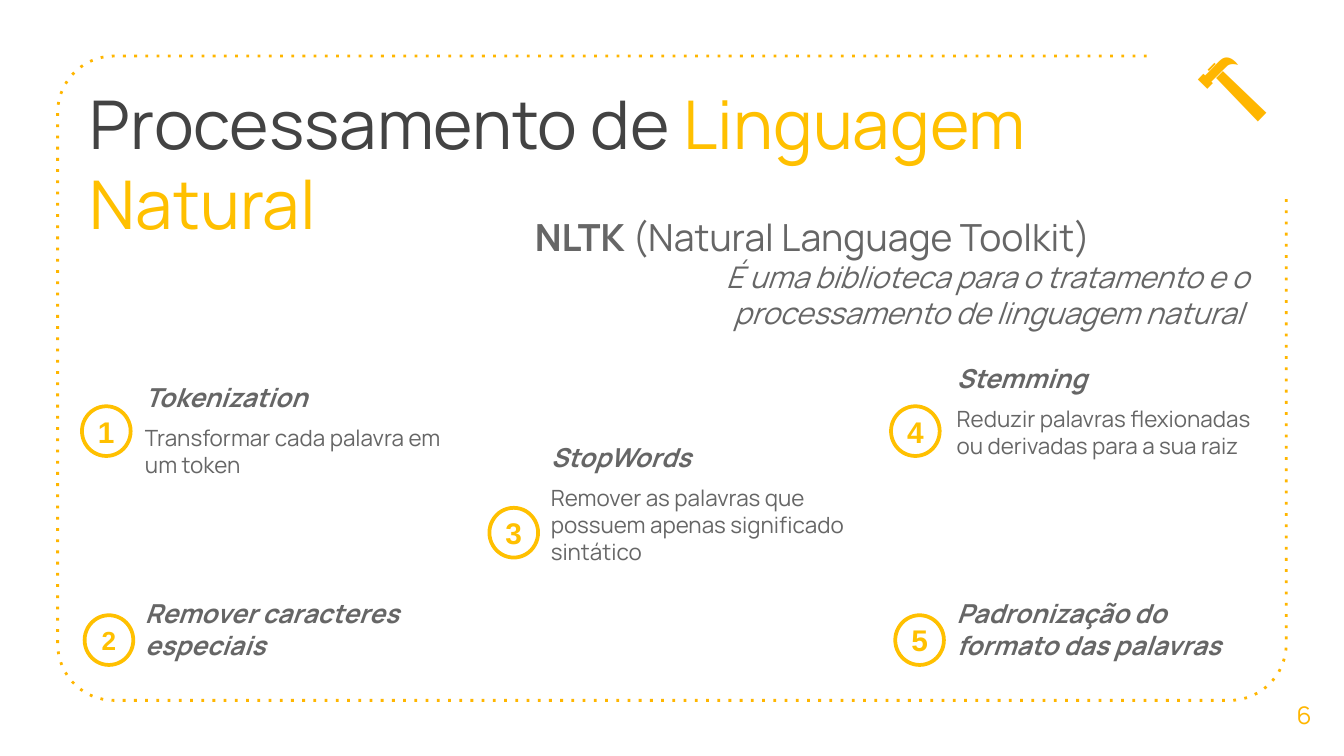
from dataclasses import dataclass
from math import cos, radians, sin

from lxml.etree import SubElement
from pptx import Presentation
from pptx.dml.color import RGBColor
from pptx.enum.shapes import MSO_SHAPE
from pptx.enum.text import MSO_ANCHOR, MSO_AUTO_SIZE, PP_ALIGN
from pptx.oxml.ns import qn
from pptx.util import Cm, Pt


@dataclass(frozen=True)
class Theme:
    font: str = "Manrope"
    number_font: str = "Arial"
    amber: RGBColor = RGBColor(0xFF, 0xB6, 0x00)
    gold: RGBColor = RGBColor(0xFF, 0xC0, 0x00)
    dark: RGBColor = RGBColor(0x43, 0x43, 0x43)
    grey: RGBColor = RGBColor(0x66, 0x66, 0x66)
    title: int = 36
    icon: int = 44
    library: int = 20
    summary: int = 16
    heading: int = 14
    detail: int = 12
    page: int = 13


THEME = Theme()


def add_run(paragraph, text, size, color, bold=False, italic=False, font=THEME.font):
    run = paragraph.add_run()
    run.text = text
    run.font.name, run.font.size = font, Pt(size)
    run.font.bold, run.font.italic = bold, italic
    run.font.color.rgb = color


def set_frame(shape, box, inset, anchor=MSO_ANCHOR.TOP):
    """Place a text shape (cm) and give it a vertical inset; return its frame."""
    shape.left, shape.top, shape.width, shape.height = map(Cm, box)
    frame = shape.text_frame
    frame.word_wrap = True
    frame.auto_size = MSO_AUTO_SIZE.NONE
    frame.vertical_anchor = anchor
    frame.margin_left = frame.margin_right = Cm(0.25)
    frame.margin_top = frame.margin_bottom = Cm(inset)
    return frame


prs = Presentation()
prs.slide_width, prs.slide_height = Cm(25.4), Cm(14.29)
slide = prs.slides.add_slide(prs.slide_layouts[1])
shapes = slide.shapes
title, body = slide.placeholders

# Dotted frame with three rounded corners, open at the top right
radius = 1.07
corners = [(2.16, 2.13, 270), (2.16, 12.17, 180), (23.24, 12.17, 90)]
outline = [
    (x + radius * cos(radians(start - turn)), y + radius * sin(radians(start - turn)))
    for x, y, start in corners
    for turn in range(0, 91, 6)
]
outline.append((23.24 + radius, 3.71))
builder = shapes.build_freeform(Cm(21.67), Cm(2.13 - radius))
builder.add_line_segments([(Cm(x), Cm(y)) for x, y in outline], close=False)
border = builder.convert_to_shape()
border.shadow.inherit = False
border.fill.background()
border.line.color.rgb = THEME.amber
border.line.width = Pt(1.5)
SubElement(border._element.spPr.find(qn("a:ln")), qn("a:prstDash")).set("val", "dot")

# Title
heading = set_frame(title, (1.45, 1.3, 21.46, 2.39), 0.25).paragraphs[0]
heading.alignment = PP_ALIGN.LEFT
add_run(heading, "Processamento de ", THEME.title, THEME.dark)
add_run(heading, "Linguagem Natural", THEME.title, THEME.gold)

# Library introduction
intro = set_frame(shapes.add_textbox(0, 0, 0, 0), (9.86, 3.91, 14, 2.49), 0.13)
library = intro.paragraphs[0]
add_run(library, "NLTK", THEME.library, THEME.grey, bold=True)
add_run(library, " (Natural Language Toolkit)", THEME.library, THEME.grey)
summary = intro.add_paragraph()
summary.level = 1
summary.alignment = PP_ALIGN.RIGHT
add_run(summary, "É uma biblioteca para o tratamento e o processamento de linguagem natural ",
        THEME.summary, THEME.grey, italic=True)

# Steps: name, detail, text position, badge position, number size
steps = [
    ("Tokenization", "Transformar cada palavra em um token",
     (2.49, 6.96), (1.55, 7.68), 16),
    ("Remover caracteres especiais", None,
     (2.49, 11.05), (1.6, 11.63), 14),
    ("StopWords", "Remover as palavras que possuem apenas significado sintático",
     (10.16, 8.1), (9.25, 9.6), 16),
    ("Stemming", "Reduzir palavras flexionadas ou derivadas para a sua raiz",
     (17.83, 6.6), (16.84, 7.68), 16),
    ("Padronização do formato das palavras", None,
     (17.83, 11.05), (16.92, 11.63), 16),
]
for number, (name, detail, text_at, badge_at, number_size) in enumerate(steps, 1):
    step = body if number == 1 else shapes.add_textbox(0, 0, 0, 0)
    frame = set_frame(step, (*text_at, 6.48, 2.39), 0.25)
    add_run(frame.paragraphs[0], name, THEME.heading, THEME.grey, bold=True, italic=True)
    if detail:
        add_run(frame.add_paragraph(), detail, THEME.detail, THEME.grey)
    for paragraph in frame.paragraphs:
        paragraph.space_before = Pt(6)
        properties = paragraph._p.get_or_add_pPr()
        properties.set("marL", "0")
        properties.set("indent", "0")
        SubElement(properties, qn("a:buNone"))

    badge = shapes.add_shape(MSO_SHAPE.OVAL, *map(Cm, (*badge_at, 0.92, 0.94)))
    badge.shadow.inherit = False
    badge.fill.background()
    badge.line.color.rgb = THEME.gold
    badge.line.width = Pt(2)
    label = set_frame(badge, (*badge_at, 0.92, 0.94), 0, MSO_ANCHOR.MIDDLE)
    label.word_wrap = False
    label.margin_left = label.margin_right = 0
    label.paragraphs[0].alignment = PP_ALIGN.CENTER
    add_run(label.paragraphs[0], str(number), number_size, THEME.gold,
            bold=True, font=THEME.number_font)

# Hammer icon
hammer = set_frame(shapes.add_textbox(0, 0, 0, 0), (22.33, 0.48, 2.26, 2.13), 0.13)
add_run(hammer.paragraphs[0], "🔨", THEME.icon, THEME.amber)

# Page number
page = set_frame(shapes.add_textbox(0, 0, 0, 0), (23.9, 12.75, 1.5, 1.52), 0.25,
                 MSO_ANCHOR.MIDDLE)
page.paragraphs[0].alignment = PP_ALIGN.CENTER
add_run(page.paragraphs[0], "6", THEME.page, THEME.amber)

prs.save("out.pptx")
